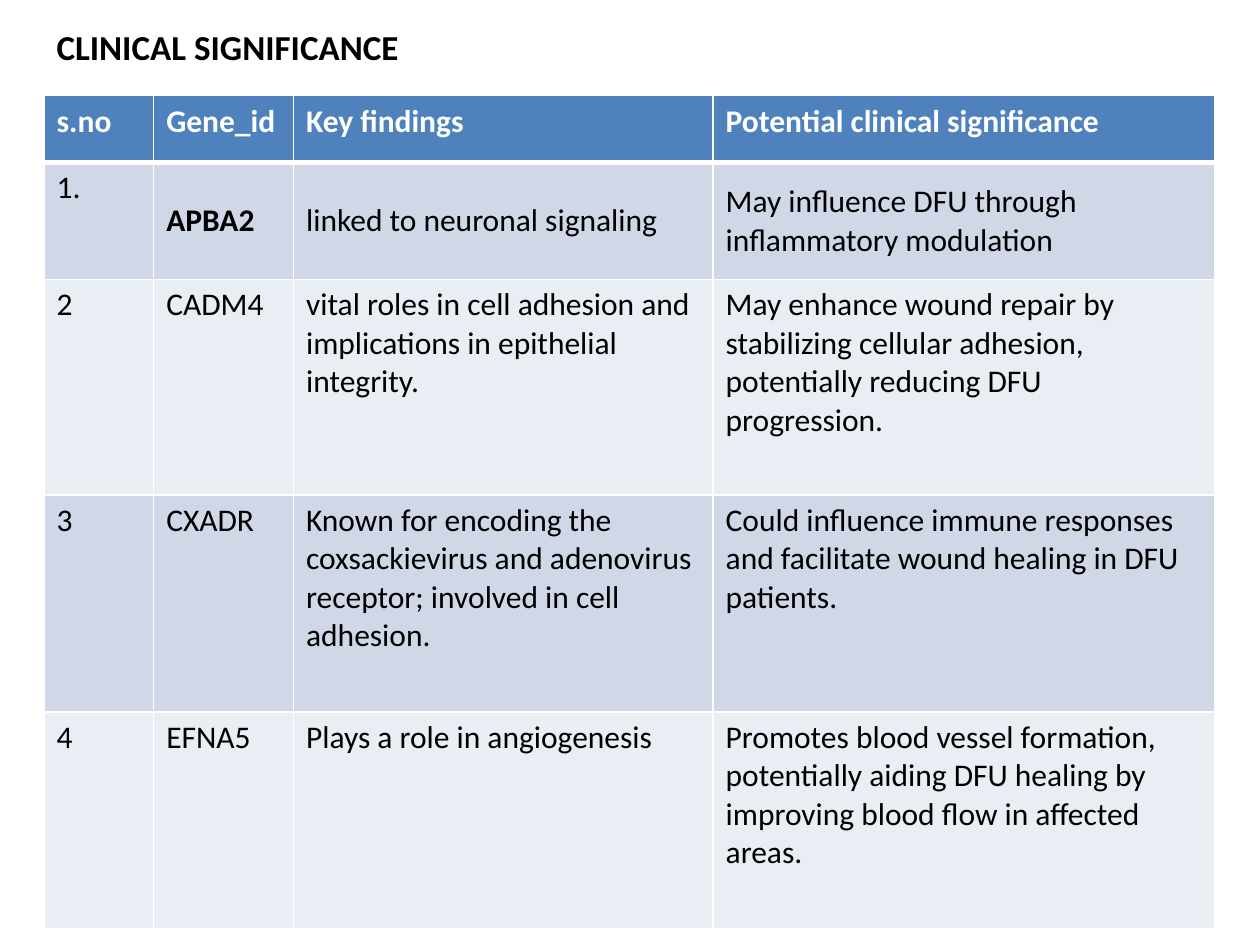
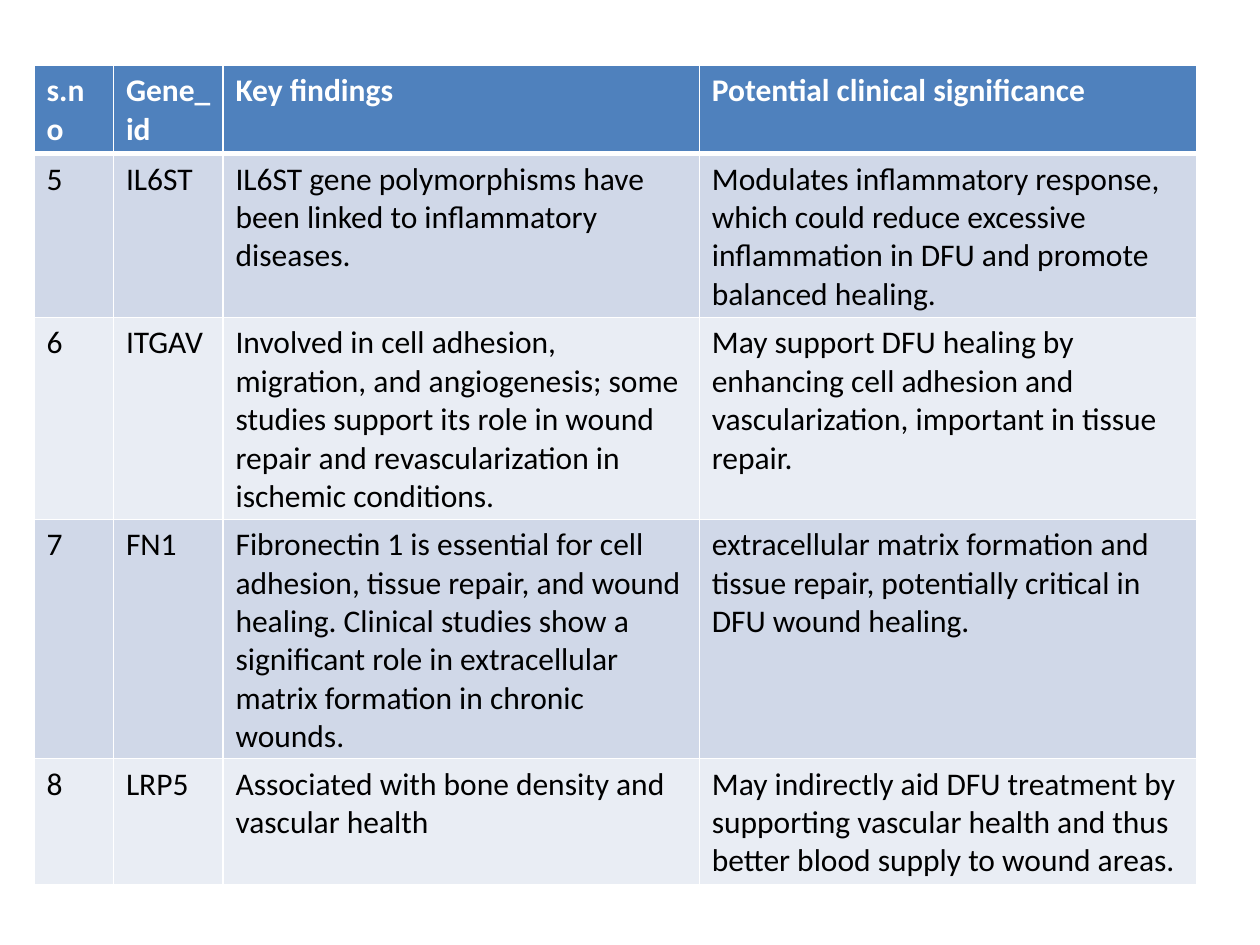
from lxml import etree
from pptx import Presentation
from pptx import util as u
from pptx.dml.color import RGBColor
from pptx.enum import text
from pptx.oxml import ns

BLACK = RGBColor(0x00, 0x00, 0x00)
WHITE = RGBColor(0xFF, 0xFF, 0xFF)
HEADER_BLUE = RGBColor(0x4F, 0x81, 0xBD)
BANDS = (RGBColor(0xD0, 0xD8, 0xE8), RGBColor(0xE9, 0xED, 0xF4))
FONT = "Calibri"
TITLE_SIZE, TABLE_SIZE = 20, 18
THIN, THICK = 1, 3

HEADINGS = ("s.no", "Gene_id", "Key findings", "Potential clinical significance")
FIRST_GENES = (
    ("1.", "APBA2", "linked to neuronal signaling",
     "May influence DFU through inflammatory modulation"),
    ("2", "CADM4",
     "vital roles in cell adhesion and implications in epithelial integrity.",
     "May enhance wound repair by stabilizing cellular adhesion, "
     "potentially reducing DFU progression."),
    ("3", "CXADR",
     "Known for encoding the coxsackievirus and adenovirus receptor; "
     "involved in cell adhesion.",
     "Could influence immune responses and facilitate wound healing in DFU patients."),
    ("4", "EFNA5", "Plays a role in angiogenesis",
     "Promotes blood vessel formation, potentially aiding DFU healing by "
     "improving blood flow in affected areas."),
)
LAST_GENES = (
    ("5", "IL6ST",
     "IL6ST gene polymorphisms have been linked to inflammatory diseases.",
     "Modulates inflammatory response, which could reduce excessive "
     "inflammation in DFU and promote balanced healing."),
    ("6", "ITGAV",
     "Involved in cell adhesion, migration, and angiogenesis; some studies support "
     "its role in wound repair and revascularization in ischemic conditions.",
     "May support DFU healing by enhancing cell adhesion and vascularization, "
     "important in tissue repair."),
    ("7", "FN1",
     "Fibronectin 1 is essential for cell adhesion, tissue repair, and wound healing. "
     "Clinical studies show a significant role in extracellular matrix formation "
     "in chronic wounds.",
     "extracellular matrix formation and tissue repair, potentially critical in "
     "DFU wound healing."),
    ("8", "LRP5", "Associated with bone density and vascular health",
     "May indirectly aid DFU treatment by supporting vascular health and thus "
     "better blood supply to wound areas."),
)


def style_text(text_frame, size, color, bold):
    for paragraph in text_frame.paragraphs:
        for run in paragraph.runs:
            run.font.name = FONT
            run.font.size = u.Pt(size)
            run.font.color.rgb = color
            run.font.bold = bold


def add_borders(cell, top, bottom):
    """Draw white cell borders; must come before the cell's fill."""
    properties = cell._tc.get_or_add_tcPr()
    for side, width in (("L", THIN), ("R", THIN), ("T", top), ("B", bottom)):
        line = etree.SubElement(properties, ns.qn(f"a:ln{side}"), w=str(u.Pt(width)))
        fill = etree.SubElement(line, ns.qn("a:solidFill"))
        etree.SubElement(fill, ns.qn("a:srgbClr"), val=str(WHITE))


def add_title(slide, title, left, top, width, height):
    box = slide.shapes.add_textbox(*map(u.Inches, (left, top, width, height)))
    box.text_frame.word_wrap = False
    box.text_frame.auto_size = text.MSO_AUTO_SIZE.SHAPE_TO_FIT_TEXT
    box.text_frame.text = title
    style_text(box.text_frame, TITLE_SIZE, BLACK, True)


def add_gene_table(slide, genes, left, top, height, column_widths, row_heights):
    rows = (HEADINGS, *genes)
    frame = slide.shapes.add_table(
        len(rows), len(HEADINGS),
        *map(u.Inches, (left, top, sum(column_widths), height)))
    table = frame.table
    table.horz_banding = False
    for column, width in zip(table.columns, column_widths):
        column.width = u.Inches(width)
    for row, row_height in zip(table.rows, row_heights):
        row.height = u.Inches(row_height)
    frame.height = u.Inches(height)

    for row_index, values in enumerate(rows):
        is_header = row_index == 0
        for column_index, value in enumerate(values):
            cell = table.cell(row_index, column_index)
            add_borders(cell, THICK if row_index == 1 else THIN,
                        THICK if is_header else THIN)
            cell.fill.solid()
            cell.fill.fore_color.rgb = (
                HEADER_BLUE if is_header else BANDS[(row_index - 1) % 2])
            cell.text_frame.text = value
            style_text(cell.text_frame, TABLE_SIZE,
                       WHITE if is_header else BLACK, is_header)
    return table


def add_first_slide(presentation):
    slide = presentation.slides.add_slide(presentation.slide_layouts[6])
    table = add_gene_table(slide, FIRST_GENES, 0.35, 0.76, 6.61,
                           (0.87, 1.11, 3.33, 3.98), (0.53, 0.93, 1.71, 1.72, 1.72))
    for column_index in range(1, len(HEADINGS)):
        table.cell(1, column_index).vertical_anchor = text.MSO_ANCHOR.MIDDLE
    style_text(table.cell(1, 1).text_frame, TABLE_SIZE, BLACK, True)
    add_title(slide, "CLINICAL SIGNIFICANCE", 0.35, 0.15, 2.95, 0.44)


def add_second_slide(presentation):
    slide = presentation.slides.add_slide(presentation.slide_layouts[6])
    add_gene_table(slide, LAST_GENES, 0.27, 0.52, 6.5,
                   (0.63, 0.87, 3.78, 3.95), [0.41] * (len(LAST_GENES) + 1))


def main():
    presentation = Presentation()
    presentation.slide_width = u.Inches(10)
    presentation.slide_height = u.Inches(7.5)
    add_first_slide(presentation)
    add_second_slide(presentation)
    presentation.save("out.pptx")


if __name__ == "__main__":
    main()
